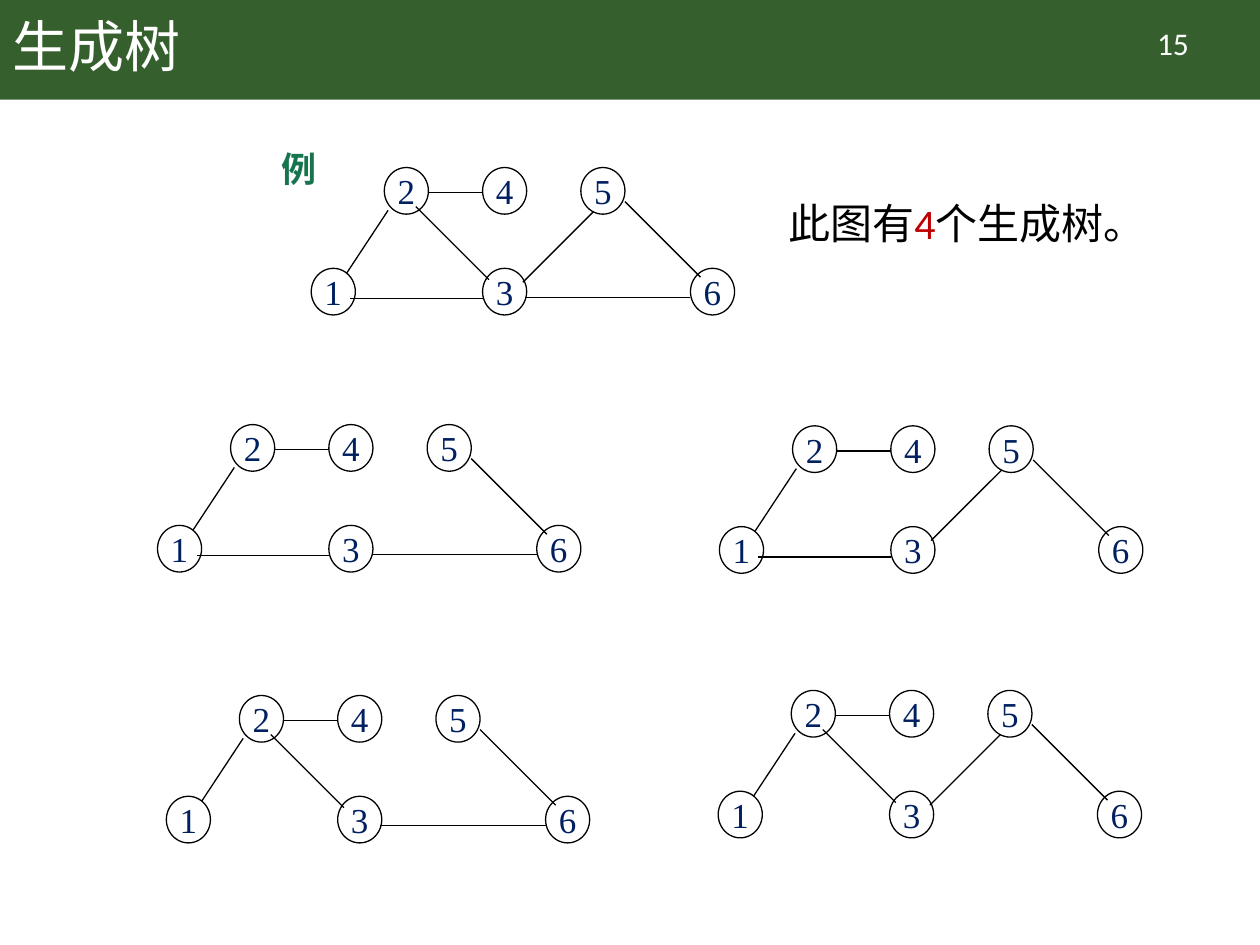
from lxml.etree import SubElement
from pptx import Presentation
from pptx.dml.color import RGBColor
from pptx.enum.shapes import MSO_CONNECTOR as Connector, MSO_SHAPE as Shape
from pptx.enum.text import MSO_ANCHOR as Anchor, PP_ALIGN as Align
from pptx.oxml.ns import qn
from pptx.util import Inches, Pt

COLORS = {
    "band": "365F2E",
    "white": "FFFFFF",
    "example": "16754D",
    "node": "002060",
    "black": "000000",
    "accent": "C00000",
}
CJK = "Noto Sans CJK SC"
NODE_WIDTH, NODE_HEIGHT = 0.35, 0.37
NODES = {
    "2": (0.58, 0), "4": (1.36, 0), "5": (2.14, 0),
    "1": (0, 0.8), "3": (1.36, 0.8), "6": (3.01, 0.8),
}
EDGES = {
    "2-4": (0.93, 0.2, 1.36, 0.2),
    "2-3": (0.83, 0.31, 1.41, 0.89),
    "3-6": (3.01, 1.03, 1.7, 1.03),
    "3-5": (1.68, 0.91, 2.24, 0.35),
    "5-6": (2.49, 0.27, 3.09, 0.87),
    "1-3": (1.36, 1.04, 0.31, 1.04),
    "1-2": (0.28, 0.84, 0.61, 0.34),
}
GRAPHS = [
    (2.47, 1.33, list(EDGES)),
    (1.25, 3.37, ["2-4", "3-6", "5-6", "1-3", "1-2"]),
    (5.71, 3.38, ["2-4", "3-5", "5-6", "1-3", "1-2"]),
    (1.32, 5.52, ["2-4", "2-3", "3-6", "5-6", "1-2"]),
    (5.7, 5.48, ["2-4", "2-3", "3-5", "5-6", "1-2"]),
]


def color(name):
    return RGBColor.from_string(COLORS[name])


def apply(target, values):
    for name, value in values.items():
        setattr(target, name, value)


def write(shape, spans, size, font, frame, para_format=None, bold=False):
    apply(shape.text_frame, frame)
    para = shape.text_frame.paragraphs[0]
    apply(para, para_format or {})
    for text, tint in spans:
        span = para.add_run()
        span.text = text
        apply(span.font, {"size": Pt(size), "name": font, "bold": bold})
        span.font.color.rgb = color(tint)
        SubElement(span.font._element, qn("a:ea"), typeface=CJK)


def add_text(page, box, *content, **options):
    write(page.shapes.add_textbox(*map(Inches, box)), *content, **options)


def add_header(page, left, top, width, height):
    band = page.shapes.add_shape(Shape.RECTANGLE, *map(Inches, (left, top, width, height)))
    band.shadow.inherit = False
    band.fill.solid()
    band.fill.fore_color.rgb = color("band")
    band.line.fill.background()
    add_text(page, (left, top, 8.62, height), [("生成树", "white")], 32, CJK,
             {"word_wrap": True, "vertical_anchor": Anchor.MIDDLE},
             {"line_spacing": 0.9})
    add_text(page, (left + 8.71, top + 0.14, 1.2, 0.4), [("15", "white")], 18, "Calibri",
             {"word_wrap": True}, {"alignment": Align.CENTER})


def add_node(group, label, left, top):
    node = group.shapes.add_shape(
        Shape.OVAL, *map(Inches, (left, top, NODE_WIDTH, NODE_HEIGHT)))
    node.shadow.inherit = False
    node.fill.background()
    node.line.color.rgb = color("black")
    node.line.width = Pt(0.75)
    write(node, [(label, "node")], 20, "Times New Roman",
          {"word_wrap": False, "vertical_anchor": Anchor.MIDDLE},
          {"alignment": Align.CENTER})


def add_edge(group, points):
    edge = group.shapes.add_connector(Connector.STRAIGHT, *map(Inches, points))
    edge.line.color.rgb = color("black")
    edge.line.width = Pt(0.75)
    SubElement(edge._element.spPr, qn("a:effectLst"))


def add_graph(page, left, top, edges):
    group = page.shapes.add_group_shape()
    for label, (x, y) in NODES.items():
        add_node(group, label, left + x, top + y)
    for name in edges:
        x1, y1, x2, y2 = EDGES[name]
        add_edge(group, (left + x1, top + y1, left + x2, top + y2))


def main():
    deck = Presentation()
    apply(deck, {"slide_width": Inches(10), "slide_height": Inches(7.5)})
    page = deck.slides.add_slide(deck.slide_layouts[6])
    add_header(page, 0, 0, 10, 0.79)
    add_text(page, (2.13, 1.12, 0.48, 0.44), [("例", "example")], 20, CJK,
             {"word_wrap": False, "vertical_anchor": Anchor.MIDDLE},
             {"alignment": Align.CENTER}, bold=True)
    for left, top, edges in GRAPHS:
        add_graph(page, left, top, edges)
    add_text(page, (6.16, 1.52, 3.37, 0.5),
             [("此图有", "black"), ("4", "accent"), ("个生成树。", "black")],
             24, "Calibri", {"word_wrap": True})
    deck.save("out.pptx")


if __name__ == "__main__":
    main()
